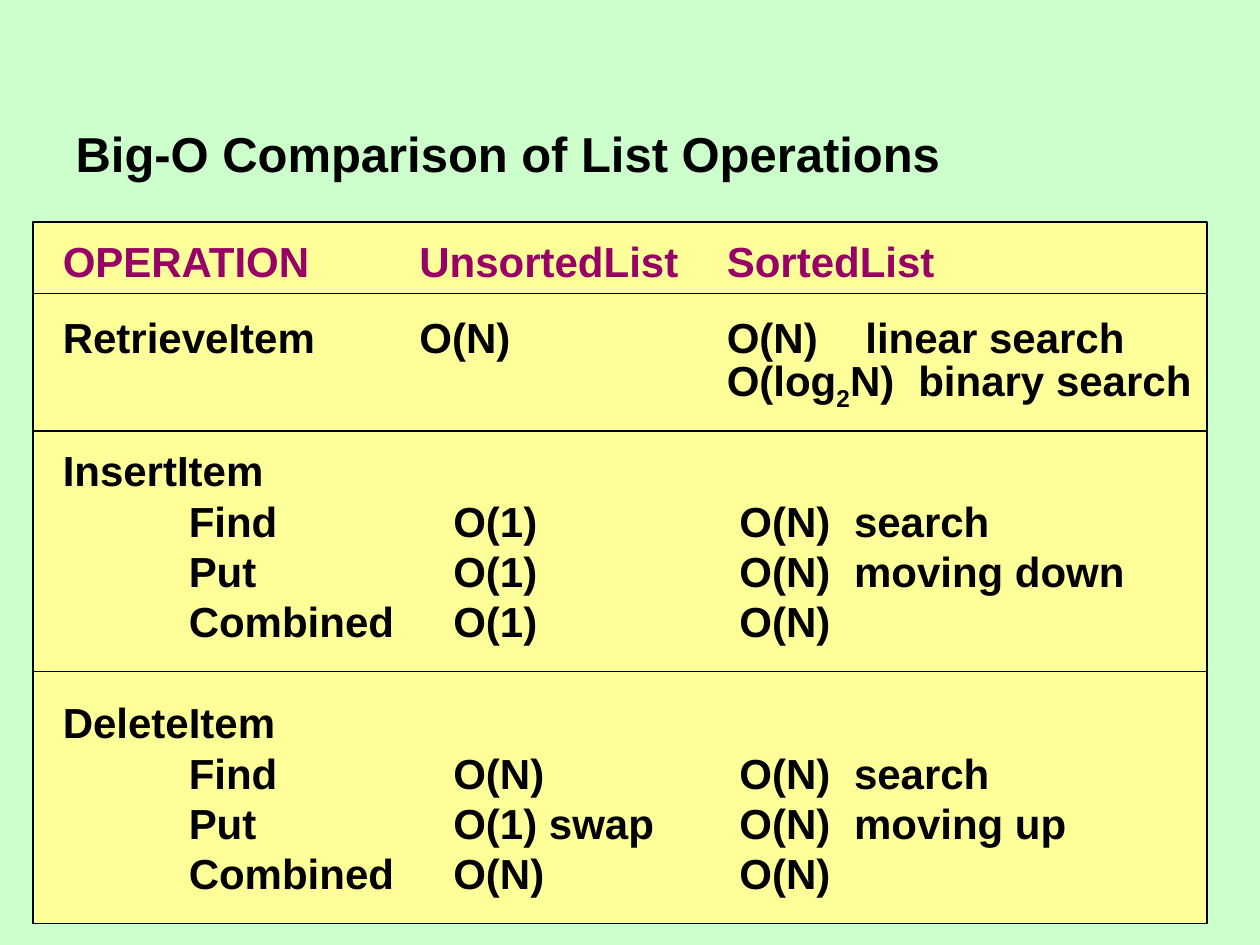
from lxml import etree
from pptx import Presentation
from pptx import util as u
from pptx.dml.color import RGBColor
from pptx.enum import shapes, text
from pptx.oxml.ns import qn

COLORS = {"page": "CCFFCC", "panel": "FFFF99", "ink": "000000", "heading": "990066"}
TITLE = "Big-O Comparison of List Operations"
LINE_PITCH = 28.8
RULES = (2.33, 3.42, 5.33)
STEP_TABS = (1.0, 3.1, 5.37, 6.28)

# Each line: runs of text, color name, space before in points.
# A run in a tuple of three alternates normal, subscript, normal.
SECTIONS = [
    {"at": (0.4, 1.82, 9.35, 1.5), "tabs": (2.83, 5.27, 6.37, 6.79), "lines": [
        (("OPERATION\tUnsortedList\tSortedList",), "heading", 0),
        (("RetrieveItem\tO(N)\tO(N)\tlinear search",), "ink", LINE_PITCH / 2),
        (("\t\tO(log", "2", "N)\tbinary search"), "ink", 0),
    ]},
    {"at": (0.4, 3.48, 9.1, 1.7), "tabs": STEP_TABS, "lines": [
        (("InsertItem",), "ink", 0),
        (("\tFind\tO(1)\tO(N)\tsearch",), "ink", 0),
        (("\tPut\tO(1)\tO(N)\tmoving down",), "ink", 0),
        (("\tCombined\tO(1)\tO(N)",), "ink", 0),
    ]},
    {"at": (0.4, 5.48, 9.1, 1.7), "tabs": STEP_TABS, "lines": [
        (("DeleteItem",), "ink", 0),
        (("\tFind\tO(N)\tO(N)\tsearch",), "ink", 0),
        (("\tPut\tO(1) swap\tO(N)\tmoving up",), "ink", 0),
        (("\tCombined\tO(N)\tO(N)",), "ink", 0),
    ]},
]


def rgb(name):
    """Return the named color."""
    return RGBColor.from_string(COLORS[name])


def inches(values):
    """Convert numbers to lengths."""
    return [u.Inches(value) for value in values]


def add_span(para, words, size, color):
    """Add one bold Arial run and return it."""
    span = para.add_run()
    span.text = words
    for key, value in {"name": "Arial", "size": u.Pt(size), "bold": True}.items():
        setattr(span.font, key, value)
    span.font.color.rgb = rgb(color)
    return span


def set_tabs(para, stops):
    """Give a paragraph left tab stops."""
    tabs = etree.SubElement(para._p.get_or_add_pPr(), qn("a:tabLst"))
    for stop in stops:
        etree.SubElement(tabs, qn("a:tab"), pos=str(u.Inches(stop)), algn="l")


def add_title(page):
    """Place and format the title."""
    box = page.shapes.title
    place = zip(("left", "top", "width", "height"), inches((0.5, 0.83, 9.08, 0.67)))
    for key, value in place:
        setattr(box, key, value)
    frame = box.text_frame
    frame.vertical_anchor = text.MSO_ANCHOR.BOTTOM
    frame.auto_size = text.MSO_AUTO_SIZE.NONE
    para = frame.paragraphs[0]
    para.alignment = text.PP_ALIGN.LEFT
    add_span(para, TITLE, 28, "ink")


def add_panel(page):
    """Draw the panel behind the comparison."""
    panel = page.shapes.add_shape(
        shapes.MSO_SHAPE.RECTANGLE, *inches((0.26, 1.76, 9.32, 5.57)))
    panel.shadow.inherit = False
    panel.fill.solid()
    panel.fill.fore_color.rgb = rgb("panel")
    panel.line.color.rgb = rgb("ink")
    panel.line.width = u.Pt(1)


def add_rule(page, y):
    """Draw a horizontal rule across the panel."""
    rule = page.shapes.add_connector(
        shapes.MSO_CONNECTOR.STRAIGHT, *inches((0.25, y, 9.58, y)))
    rule.line.color.rgb = rgb("ink")
    rule.line.width = u.Pt(1)
    etree.SubElement(rule._element.spPr, qn("a:effectLst"))


def add_section(page, section):
    """Write one section in columns set by tab stops."""
    frame = page.shapes.add_textbox(*inches(section["at"])).text_frame
    frame.word_wrap = True
    for index, (runs, color, before) in enumerate(section["lines"]):
        para = frame.add_paragraph() if index else frame.paragraphs[0]
        para.line_spacing = u.Pt(LINE_PITCH)
        para.space_before = u.Pt(before)
        set_tabs(para, section["tabs"])
        for position, words in enumerate(runs):
            span = add_span(para, words, 24, color)
            if position % 2:
                span.font._element.set("baseline", "-25000")


deck = Presentation()
deck.slide_width, deck.slide_height = inches((10, 7.5))
page = deck.slides.add_slide(deck.slide_layouts[5])
page.background.fill.solid()
page.background.fill.fore_color.rgb = rgb("page")
add_title(page)
add_panel(page)
for y in RULES:
    add_rule(page, y)
for section in SECTIONS:
    add_section(page, section)
deck.save("out.pptx")
